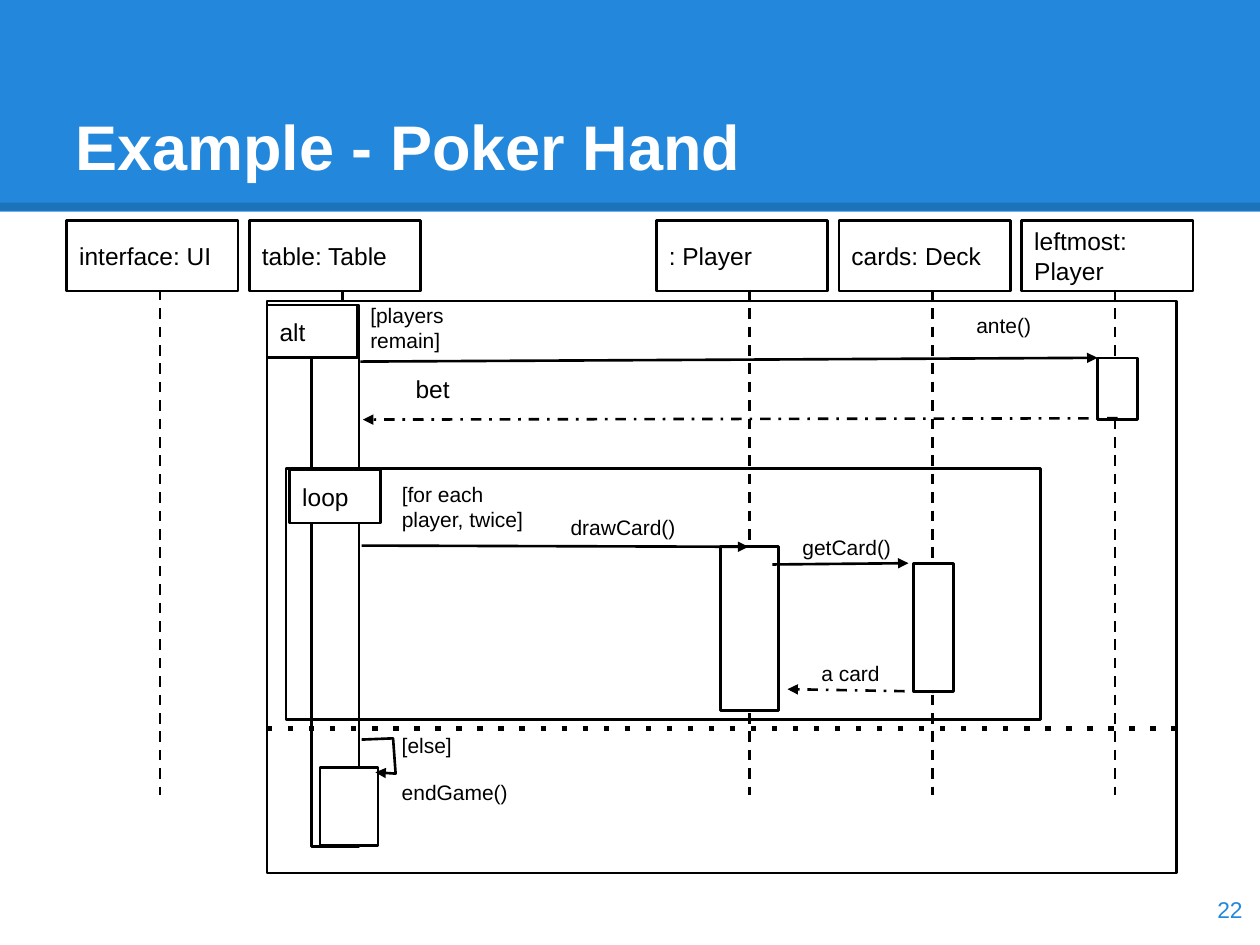
"""Build a UML sequence diagram slide for a poker hand."""
from lxml import etree
from pptx import Presentation
from pptx.dml.color import RGBColor
from pptx.enum import shapes, text
from pptx.oxml.ns import qn
from pptx.util import Pt

PX = 9144
HUES = {"blue": "2388DB", "ink": "000000", "paper": "FFFFFF"}
RECT = shapes.MSO_SHAPE.RECTANGLE
LINE = shapes.MSO_CONNECTOR.STRAIGHT


def draw(item, dash="solid", head=False, wide=1.5):
    item.line.color.rgb = RGBColor.from_string(HUES["ink"])
    item.line.width = Pt(wide)
    props = item._element.spPr
    edge = props.find(qn("a:ln"))
    etree.SubElement(edge, qn("a:prstDash"), val=dash)
    etree.SubElement(edge, qn("a:round"))
    if head:
        etree.SubElement(edge, qn("a:tailEnd"), type="triangle")
    etree.SubElement(props, qn("a:effectLst"))
    return edge


def write(item, words, size=14, hue="ink", anchor="MIDDLE", align="LEFT", bold=False):
    frame = item.text_frame
    frame.text = words
    frame.word_wrap = True
    frame.vertical_anchor = text.MSO_ANCHOR[anchor]
    frame.margin_left = frame.margin_right = 10 * PX
    frame.margin_top = frame.margin_bottom = 10 * PX
    para = frame.paragraphs[0]
    para.alignment = text.PP_ALIGN[align]
    font = para.runs[0].font
    font.name, font.size, font.bold = "Arial", Pt(size), bold
    font.color.rgb = RGBColor.from_string(HUES[hue])


deck = Presentation()
deck.slide_width, deck.slide_height = 1000 * PX, 750 * PX
page = deck.slides.add_slide(deck.slide_layouts[6])
art = page.shapes

band = art.add_shape(RECT, 0, 0, 1000 * PX, 168 * PX)
band.shadow.inherit = False
band.fill.solid()
band.fill.fore_color.rgb = RGBColor.from_string(HUES["blue"])
band.line.fill.background()
rule = art.add_connector(LINE, 0, 164 * PX, 1000 * PX, 164 * PX)
edge = draw(rule, wide=4.5)
etree.SubElement(edge.find(".//" + qn("a:srgbClr")), qn("a:alpha"), val="15000")
title = art.add_textbox(50 * PX, 30 * PX, 900 * PX, 125 * PX)
write(title, "Example - Poker Hand", 36, "paper", "BOTTOM", bold=True)

heads = [(53, "interface: UI"), (198, "table: Table"), (521, ": Player"),
         (666, "cards: Deck"), (811, "leftmost: Player")]
for x, _ in heads:
    life = art.add_connector(LINE, (x + 74) * PX, 230 * PX, (x + 74) * PX, 631 * PX)
    draw(life, "dash")

bars = [(247, 242, 38, 430), (871, 284, 32, 49), (572, 434, 46, 130),
        (725, 447, 32, 102), (254, 609, 46, 62)]
tags = [(212, 242, 72, 42, "alt"), (230, 373, 72, 42, "loop")]
boxes = [(x, 175, 136, 56, name) for x, name in heads]
boxes += [(*bar, "") for bar in bars] + tags
for x, y, w, h, name in boxes:
    box = art.add_shape(RECT, x * PX, y * PX, w * PX, h * PX)
    box.fill.solid()
    box.fill.fore_color.rgb = RGBColor.from_string(HUES["paper"])
    draw(box)
    if name:
        write(box, name)

for x, y, w, h in [(212, 239, 722, 454), (227, 372, 599, 199)]:
    frame = art.add_shape(RECT, x * PX, y * PX, w * PX, h * PX)
    frame.fill.background()
    draw(frame)

calls = [(286, 287, 871, 284, "solid"), (887, 332, 288, 333, "dashDot"),
         (287, 433, 594, 434, "solid"), (613, 448, 721, 447, "solid"),
         (741, 549, 625, 547, "dashDot")]
for x, y, far, end, dash in calls:
    call = art.add_connector(LINE, x * PX, y * PX, far * PX, end * PX)
    draw(call, dash, head=True)

split = art.add_connector(LINE, 212 * PX, 578 * PX, 935 * PX, 578 * PX)
draw(split, "dot", wide=3)

pen = art.build_freeform(287, 587, scale=PX)
pen.add_line_segments([(312, 586), (314, 614), (298, 613)], close=False)
loop = pen.convert_to_shape()
loop.fill.background()
draw(loop, head=True)

notes = [(284, 230, 119, 30, "[players remain]", 12), (765, 242, 95, 16, "ante()", 12),
         (320, 291, 72, 16, "bet", 14), (309, 372, 119, 30, "[for each player, twice]", 12),
         (443, 402, 125, 16, "drawCard()", 12), (627, 418, 98, 16, "getCard()", 12),
         (642, 518, 72, 16, "a card", 12), (309, 571, 104, 25, "[else]", 12),
         (309, 609, 104, 25, "endGame()", 12)]
for x, y, w, h, words, size in notes:
    note = art.add_textbox(x * PX, y * PX, w * PX, h * PX)
    write(note, words, size, anchor="TOP")

folio = art.add_textbox(936 * PX, 693 * PX, 60 * PX, 57 * PX)
write(folio, "22", 13, "blue", align="RIGHT")

deck.save("out.pptx")
